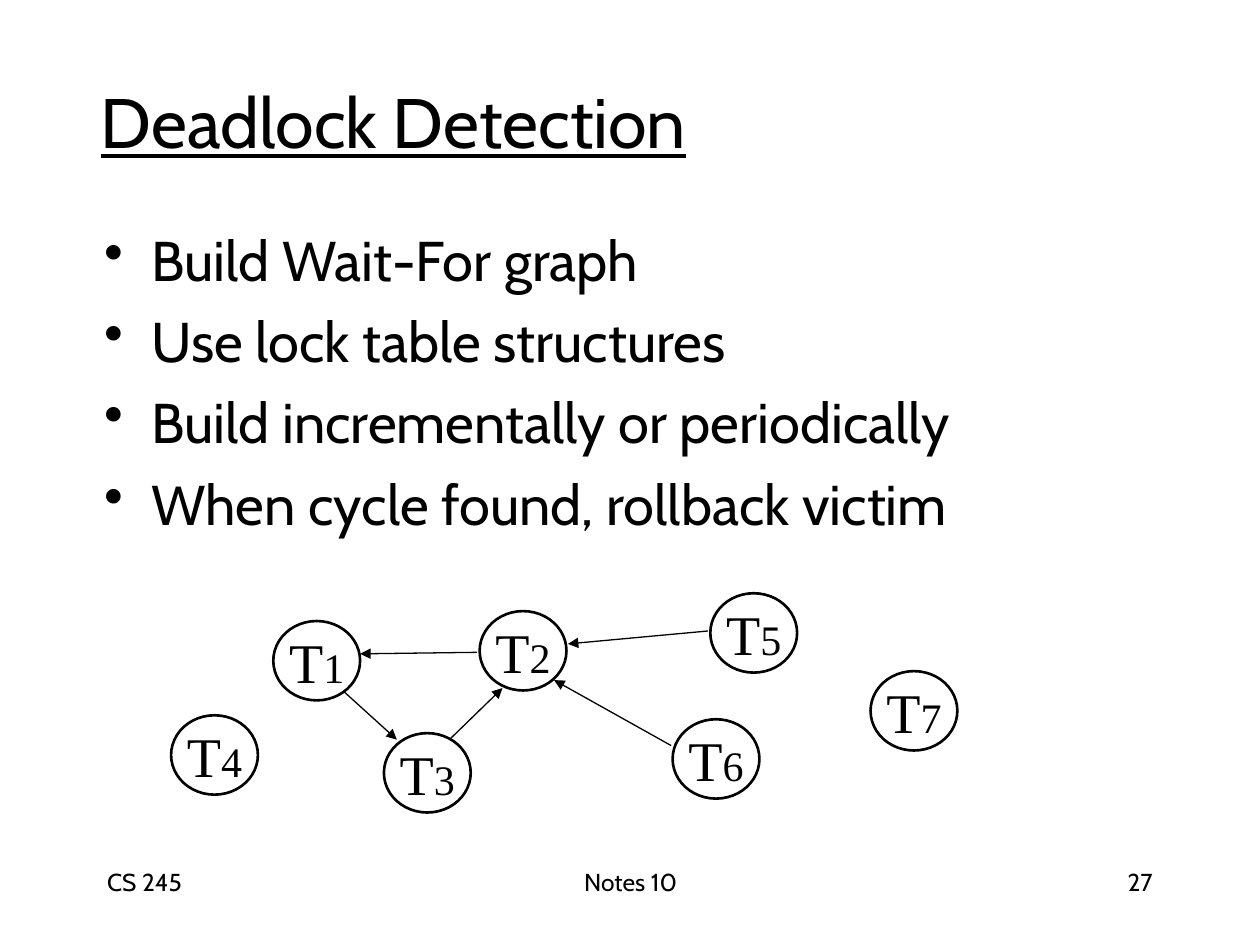
from lxml import etree
from pptx import Presentation
from pptx import util as u
from pptx.dml.color import RGBColor
from pptx.enum import shapes, text
from pptx.oxml import ns

BLACK = RGBColor(0, 0, 0)
WHITE = RGBColor(255, 255, 255)
SANS = "Cabin"
SERIF = "Times New Roman"

BULLETS = [
    "Build Wait-For graph",
    "Use lock table structures",
    "Build incrementally or periodically",
    "When cycle found, rollback victim",
]
FOOTERS = [
    ("CS 245", 0, 5.28, text.PP_ALIGN.LEFT),
    ("Notes 10", 6.78, 8.05, text.PP_ALIGN.CENTER),
    ("27", 16.3, 5.28, text.PP_ALIGN.RIGHT),
]
NODE_SIZE = (1.75, 1.6)
TRANSACTIONS = {
    "1": (2.06, 0.56),
    "3": (4.29, 2.82),
    "2": (6.22, 0.36),
    "6": (10.11, 2.54),
    "5": (10.87, 0),
    "4": (0, 2.46),
    "7": (14.1, 1.57),
}
WAITS = [
    ((3.48, 1.98), (4.55, 2.95)),
    ((5.64, 2.92), (6.68, 1.91)),
    ((6.17, 1.19), (3.81, 1.22)),
    ((10.82, 0.76), (8, 1.02)),
    ((10.08, 3.07), (7.72, 1.75)),
]


def style_font(font, name, size):
    font.name = name
    font.size = u.Pt(size)
    font.color.rgb = BLACK


def add_child(parent, tag, **attributes):
    return etree.SubElement(parent, ns.qn(tag), attributes)


def add_text_box(page, left, top, width, height):
    box = page.shapes.add_textbox(u.Cm(left), u.Cm(top), u.Cm(width), u.Cm(height))
    box.text_frame.word_wrap = True
    return box.text_frame


def place_title(page, left, top, width, height):
    title = page.shapes.title
    title.left, title.top = u.Cm(left), u.Cm(top)
    title.width, title.height = u.Cm(width), u.Cm(height)
    frame = title.text_frame
    frame.text = "Deadlock Detection"
    frame.auto_size = text.MSO_AUTO_SIZE.NONE
    frame.vertical_anchor = text.MSO_ANCHOR.MIDDLE
    para = frame.paragraphs[0]
    para.alignment = text.PP_ALIGN.LEFT
    style_font(para.font, SANS, 40)
    para.font.underline = True


def place_bullets(page, left, top, width, height):
    frame = add_text_box(page, left, top, width, height)
    frame.text = "\n".join(BULLETS)
    indent = u.Cm(0.95)
    for para in frame.paragraphs:
        para.space_before = u.Pt(8)
        properties = para._p.get_or_add_pPr()
        properties.set("marL", str(indent))
        properties.set("indent", str(-indent))
        color = add_child(properties, "a:buClr")
        add_child(color, "a:srgbClr", val=str(BLACK))
        add_child(properties, "a:buChar", char="•")
        style_font(para.font, SANS, 32)


def add_transaction(page, number, left, top):
    width, height = NODE_SIZE
    node = page.shapes.add_shape(
        shapes.MSO_SHAPE.OVAL, u.Cm(left), u.Cm(top), u.Cm(width), u.Cm(height))
    node.shadow.inherit = False
    node.fill.solid()
    node.fill.fore_color.rgb = WHITE
    node.line.color.rgb = BLACK
    node.line.width = u.Pt(1.5)
    frame = node.text_frame
    frame.word_wrap = False
    frame.vertical_anchor = text.MSO_ANCHOR.MIDDLE
    para = frame.paragraphs[0]
    para.alignment = text.PP_ALIGN.CENTER
    for letters, size in (("T", 32), (number, 24)):
        span = para.add_run()
        span.text = letters
        style_font(span.font, SERIF, size)


def add_wait(page, start_x, start_y, end_x, end_y):
    arrow = page.shapes.add_connector(
        shapes.MSO_CONNECTOR.STRAIGHT,
        u.Cm(start_x), u.Cm(start_y), u.Cm(end_x), u.Cm(end_y))
    arrow.line.color.rgb = BLACK
    arrow.line.width = u.Pt(0.75)
    add_child(arrow.line._get_or_add_ln(), "a:tailEnd", type="triangle")
    add_child(arrow._element.spPr, "a:effectLst")


def place_graph(page, left, top):
    for number, (x, y) in TRANSACTIONS.items():
        add_transaction(page, number, left + x, top + y)
    for (start_x, start_y), (end_x, end_y) in WAITS:
        add_wait(page, left + start_x, top + start_y, left + end_x, top + end_y)


def place_footer(page, left, top, height):
    for label, offset, width, alignment in FOOTERS:
        frame = add_text_box(page, left + offset, top, width, height)
        frame.text = label
        para = frame.paragraphs[0]
        para.alignment = alignment
        style_font(para.font, SANS, 14)


def main():
    deck = Presentation()
    deck.slide_width, deck.slide_height = u.Cm(25.4), u.Cm(19.05)
    page = deck.slides.add_slide(deck.slide_layouts.get_by_name("Title Only"))
    place_footer(page, 1.91, 17.35, 1.27)
    place_title(page, 1.78, 1.24, 21.59, 2.39)
    place_bullets(page, 1.85, 4.42, 21.59, 6.81)
    place_graph(page, 3.45, 11.96)
    deck.save("out.pptx")


if __name__ == "__main__":
    main()
